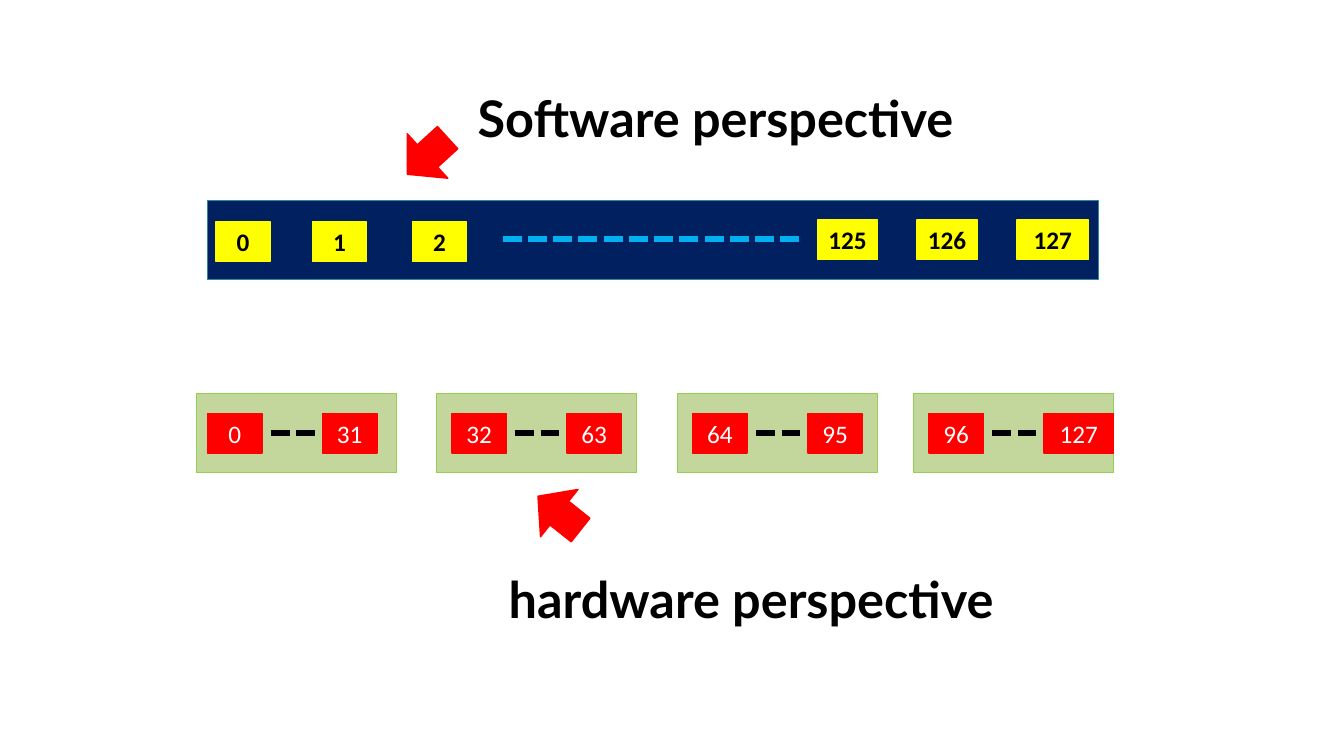
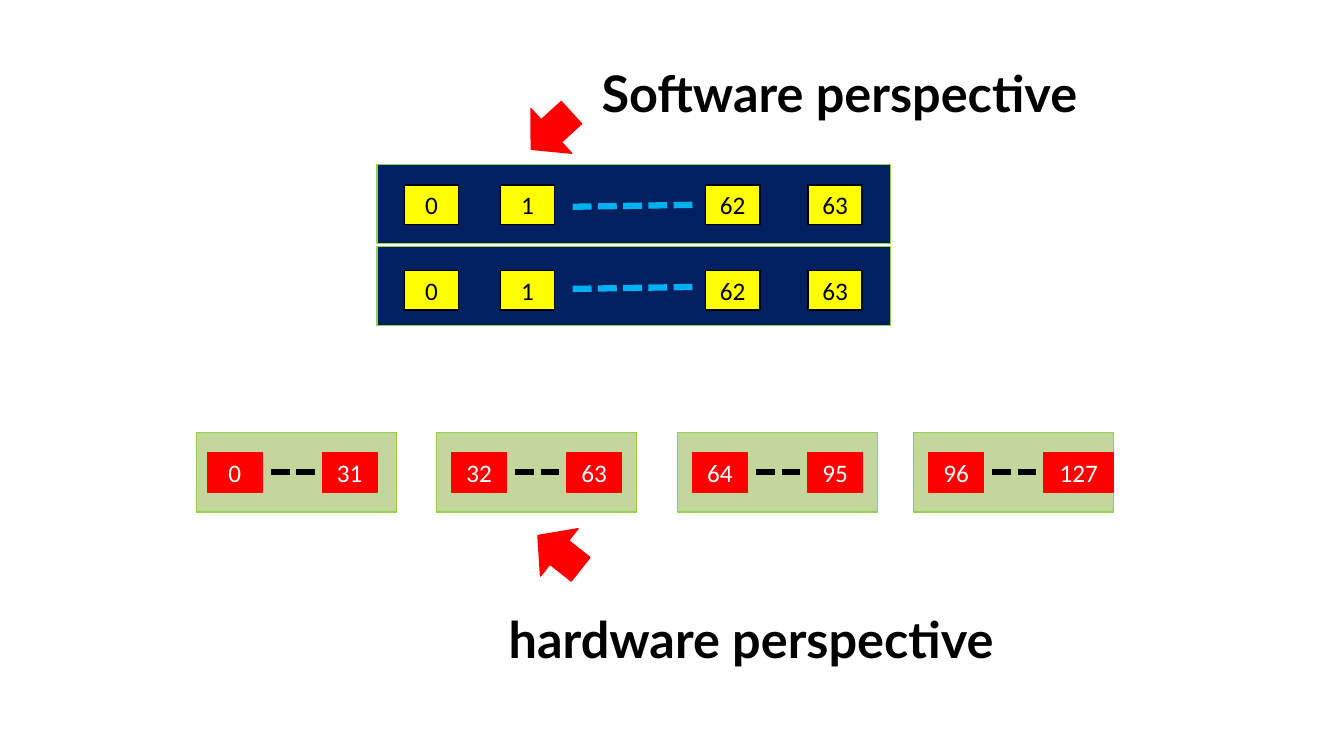
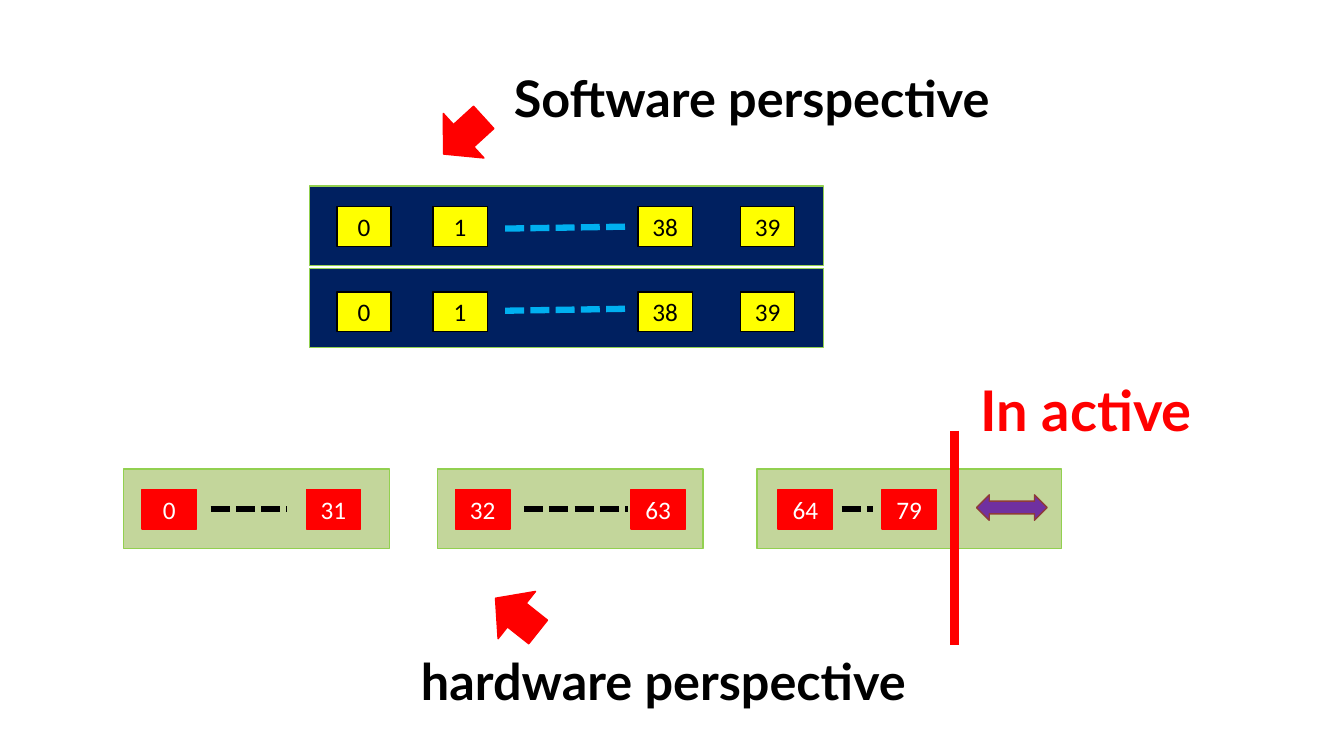
from lxml import etree
from pptx import Presentation
from pptx.dml.color import RGBColor
from pptx.enum.dml import MSO_LINE
from pptx.enum.shapes import MSO_CONNECTOR, MSO_SHAPE
from pptx.enum.text import MSO_ANCHOR, PP_ALIGN
from pptx.oxml.ns import qn
from pptx.util import Cm, Pt

RECTANGLE = MSO_SHAPE.RECTANGLE
LEFT_ARROW = MSO_SHAPE.LEFT_ARROW
DOUBLE_ARROW = MSO_SHAPE.LEFT_RIGHT_ARROW
STRAIGHT = MSO_CONNECTOR.STRAIGHT
SHORT_DASH = MSO_LINE.SQUARE_DOT
CENTER = PP_ALIGN.CENTER
MIDDLE = MSO_ANCHOR.MIDDLE

NAVY, GREEN, LIME, TEAL = "002060", "C3D69B", "92D050", "31859C"
YELLOW, RED, SKY, PURPLE = "FFFF00", "FF0000", "00B0F0", "7030A0"
BLACK, WHITE, MAROON = "000000", "FFFFFF", "8E3B39"

BAR_HEIGHT = 2
CELL_WIDTH, CELL_HEIGHT = 1.37, 1


def color(hex_string):
    return RGBColor.from_string(hex_string)


class Deck:
    """Holds the presentation, its style and the slide being drawn."""

    cell_font = "Calibri"
    caption_font = "Lato"

    def __init__(self):
        self.presentation = Presentation()
        self.presentation.slide_width = Cm(33.87)
        self.presentation.slide_height = Cm(19.05)
        self.slide = None

    def new_slide(self):
        blank = self.presentation.slide_layouts[6]
        self.slide = self.presentation.slides.add_slide(blank)

    def add_run(self, paragraph, text, font, size, text_color, bold):
        run = paragraph.add_run()
        run.text = text
        run.font.name = font
        run.font.size = Pt(size)
        run.font.bold = bold
        run.font.color.rgb = color(text_color)

    def shape(self, kind, left, top, width, height, fill, outline, rotation=0):
        shape = self.slide.shapes.add_shape(
            kind, Cm(left), Cm(top), Cm(width), Cm(height))
        shape.shadow.inherit = False
        shape.fill.solid()
        shape.fill.fore_color.rgb = color(fill)
        shape.line.color.rgb = color(outline)
        shape.line.width = Pt(1)
        shape.rotation = rotation
        return shape

    def bar(self, left, top, width, fill, outline):
        self.shape(RECTANGLE, left, top, width, BAR_HEIGHT, fill, outline)

    def cell(self, text, left, top, fill, outline, text_color,
             width=CELL_WIDTH, bold=False):
        shape = self.shape(RECTANGLE, left, top, width, CELL_HEIGHT, fill, outline)
        frame = shape.text_frame
        frame.vertical_anchor = MIDDLE
        paragraph = frame.paragraphs[0]
        paragraph.alignment = CENTER
        self.add_run(paragraph, text, self.cell_font, 18, text_color, bold)

    def line(self, start, end, line_color, width=4.5, dash=SHORT_DASH):
        connector = self.slide.shapes.add_connector(
            STRAIGHT, Cm(start[0]), Cm(start[1]), Cm(end[0]), Cm(end[1]))
        connector.line.color.rgb = color(line_color)
        connector.line.width = Pt(width)
        if dash is not None:
            connector.line.dash_style = dash
        etree.SubElement(connector._element.spPr, qn("a:effectLst"))

    def caption(self, text, left, top, width=14.43, size=36, text_color=BLACK):
        box = self.slide.shapes.add_textbox(Cm(left), Cm(top), Cm(width), Cm(1.8))
        box.text_frame.word_wrap = True
        self.add_run(box.text_frame.paragraphs[0], text, self.caption_font,
                     size, text_color, True)

    def pointer(self, left, top, rotation):
        self.shape(LEFT_ARROW, left, top, 1.37, 1.52, RED, RED, rotation)

    def software_caption(self, left, top):
        self.caption("Software perspective", left, top)
        self.pointer(left - 1.7, top + 1.09, 317.6)

    def hardware_caption(self, left, top, arrow_right=0.84, arrow_up=2.03):
        self.caption("hardware perspective", left, top)
        self.pointer(left + arrow_right, top - arrow_up, 38.4)

    def warp(self, first, last, left, top, width, inset, step, dash,
             last_width=CELL_WIDTH):
        """Green bar with its first and last thread; dash and step start at the first."""
        start = left + inset
        self.bar(left, top, width, GREEN, LIME)
        self.cell(first, start, top + 0.51, RED, RED, WHITE)
        self.cell(last, start + step, top + 0.51, RED, RED, WHITE, last_width)
        self.line((start + dash[0], top + 1), (start + dash[1], top + 1), BLACK)

    def four_warps(self, top):
        warps = [("0", "31", 4.95, 0.28, CELL_WIDTH),
                 ("32", "63", 11, 0.39, CELL_WIDTH),
                 ("64", "95", 17.07, 0.39, CELL_WIDTH),
                 ("96", "127", 23.02, 0.39, 1.75)]
        for first, last, left, inset, last_width in warps:
            self.warp(first, last, left, top, 5.05, inset, 2.9, (1.6, 2.7), last_width)

    def two_blocks(self, left, top, labels):
        for row in range(2):
            bar_top = top + 2.07 * row
            self.bar(left, bar_top, 12.95, NAVY, LIME)
            self.line((left + 4.93, bar_top + 1.07), (left + 8.03, bar_top + 1.02), SKY)
            for label, offset in zip(labels, (0.69, 3.11, 8.28, 10.86)):
                self.cell(label, left + offset, top + 0.52 + 2.15 * row,
                          YELLOW, BLACK, BLACK)


def one_block_slide(deck):
    deck.new_slide()
    deck.bar(5.23, 5.05, 22.45, NAVY, TEAL)
    cells = [("0", 5.44, 5.59, CELL_WIDTH), ("1", 7.87, 5.59, CELL_WIDTH),
             ("2", 10.39, 5.59, CELL_WIDTH), ("125", 20.6, 5.54, 1.52),
             ("126", 23.11, 5.54, 1.52), ("127", 25.63, 5.54, 1.8)]
    for label, left, top, width in cells:
        deck.cell(label, left, top, YELLOW, YELLOW, BLACK, width, bold=True)
    deck.line((12.67, 6.02), (20.14, 6.02), SKY)
    deck.four_warps(9.91)
    deck.software_caption(11.79, 2.08)
    deck.hardware_caption(12.57, 14.2)


def two_block_slide(deck):
    deck.new_slide()
    deck.two_blocks(9.5, 4.14, ("0", "1", "62", "63"))
    deck.four_warps(10.9)
    deck.hardware_caption(12.57, 15.19)
    deck.software_caption(14.91, 1.45)


def inactive_threads_slide(deck):
    deck.new_slide()
    deck.two_blocks(7.8, 4.69, ("0", "1", "38", "39"))
    top = 11.82
    deck.warp("0", "31", 3.12, top, 6.7, 0.46, 4.14, (1.73, 3.66))
    deck.warp("32", "63", 11.02, top, 6.7, 0.46, 4.42, (1.73, 4.34))
    deck.warp("64", "79", 19.08, top, 7.67, 0.53, 2.62, (1.6, 2.39))
    deck.line((24.05, 10.85), (24.05, 16.26), RED, width=6, dash=None)
    deck.shape(DOUBLE_ARROW, 24.61, 12.47, 1.78, 0.64, PURPLE, MAROON)
    deck.caption("In active", 24.46, 9.35, width=6.5, size=40, text_color=RED)
    deck.software_caption(12.7, 1.57)
    deck.hardware_caption(10.36, 16.26, arrow_right=1.98, arrow_up=1.52)


def main():
    deck = Deck()
    one_block_slide(deck)
    two_block_slide(deck)
    inactive_threads_slide(deck)
    deck.presentation.save("out.pptx")


if __name__ == "__main__":
    main()
